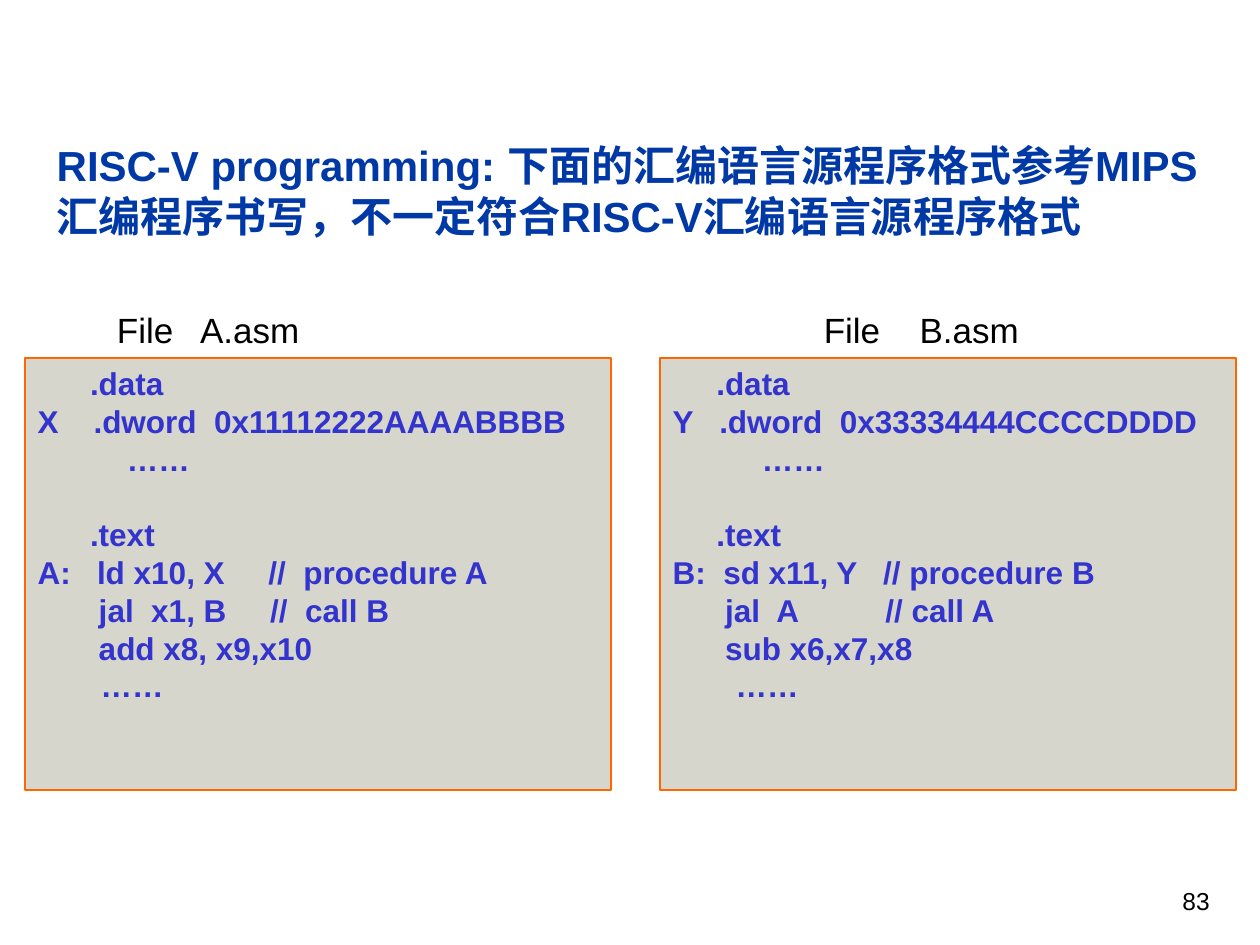
from pptx import Presentation
from pptx.dml.color import RGBColor
from pptx.enum.shapes import MSO_SHAPE
from pptx.enum.text import MSO_ANCHOR, MSO_AUTO_SIZE, PP_ALIGN
from pptx.oxml.ns import qn
from pptx.util import Inches, Pt
from lxml.etree import SubElement

COLORS = {"title": "0039A6", "code": "3333CD", "panel": "333300",
          "edge": "FF6600", "text": "000000"}

TITLE = ("RISC-V programming: 下面的汇编语言源程序格式参考"
         "MIPS汇编程序书写，不一定符合RISC-V汇编语言源程序格式")

DATA_A = """      .data
X    .dword  0x11112222AAAABBBB
\t   ……"""
TEXT_A = """      .text
A:   ld x10, X     //  procedure A
       jal  x1, B     //  call B
       add x8, x9,x10
\t……"""

DATA_B = """     .data
Y   .dword  0x33334444CCCCDDDD
\t   ……"""
TEXT_B = """     .text
B:  sd x11, Y   // procedure B
      jal  A          // call A
      sub x6,x7,x8
\t……"""


def color(name):
    return RGBColor.from_string(COLORS[name])


def style(frame, size, name, bold=False, align=PP_ALIGN.LEFT):
    for para in frame.paragraphs:
        para.alignment = align
        for run in para.runs:
            run.font.name = "Arial"
            run.font.size = Pt(size)
            run.font.bold = bold
            run.font.color.rgb = color(name)


def add_title(slide):
    title = slide.shapes.title
    title.left, title.top = Inches(0.35), Inches(1.05)
    title.width, title.height = Inches(9.34), Inches(0.91)
    frame = title.text_frame
    frame.text = TITLE
    frame.word_wrap = True
    frame.auto_size = MSO_AUTO_SIZE.NONE
    frame.vertical_anchor = MSO_ANCHOR.BOTTOM
    style(frame, 24, "title", bold=True)


def add_label(slide, text, left, top, width, height):
    box = slide.shapes.add_textbox(
        Inches(left), Inches(top), Inches(width), Inches(height))
    box.text_frame.word_wrap = True
    box.text_frame.text = text
    return box.text_frame


def add_tabs(para, stops):
    tabs = SubElement(para._p.get_or_add_pPr(), qn("a:tabLst"))
    for stop in stops:
        SubElement(tabs, qn("a:tab"), pos=str(Inches(stop)), algn="l")


def add_code(slide, left, width, data, text):
    """Draw a tinted panel with a data section above a text section."""
    panel = slide.shapes.add_shape(
        MSO_SHAPE.RECTANGLE, Inches(left), Inches(2.84),
        Inches(width), Inches(3.43))
    panel.shadow.inherit = False
    panel.fill.solid()
    panel.fill.fore_color.rgb = color("panel")
    tint = panel.fill._xPr.find(qn("a:solidFill"))[0]
    SubElement(tint, qn("a:alpha"), val="20000")
    panel.line.color.rgb = color("edge")
    panel.line.width = Pt(1)
    frame = panel.text_frame
    frame.word_wrap = True
    frame.vertical_anchor = MSO_ANCHOR.TOP
    frame.text = data + "\n" + text
    style(frame, 18, "code", bold=True)
    start = len(data.splitlines())
    frame.paragraphs[start].space_before = Pt(21.6)


def main():
    deck = Presentation()
    deck.slide_width, deck.slide_height = Inches(10), Inches(7.5)
    slide = deck.slides.add_slide(deck.slide_layouts[5])

    number = add_label(slide, "83", 7.2, 6.98, 2.5, 0.52)
    style(number, 14, "text", align=PP_ALIGN.RIGHT)
    add_title(slide)
    add_code(slide, 0.2, 4.65, DATA_A, TEXT_A)
    add_code(slide, 5.24, 4.57, DATA_B, TEXT_B)
    files = add_label(slide, "File\tA.asm\tFile\tB.asm", 0.83, 2.4, 8.5, 0.43)
    add_tabs(files.paragraphs[0], (0.66, 5.61, 6.37))
    style(files, 20, "text")

    deck.save("out.pptx")


if __name__ == "__main__":
    main()
